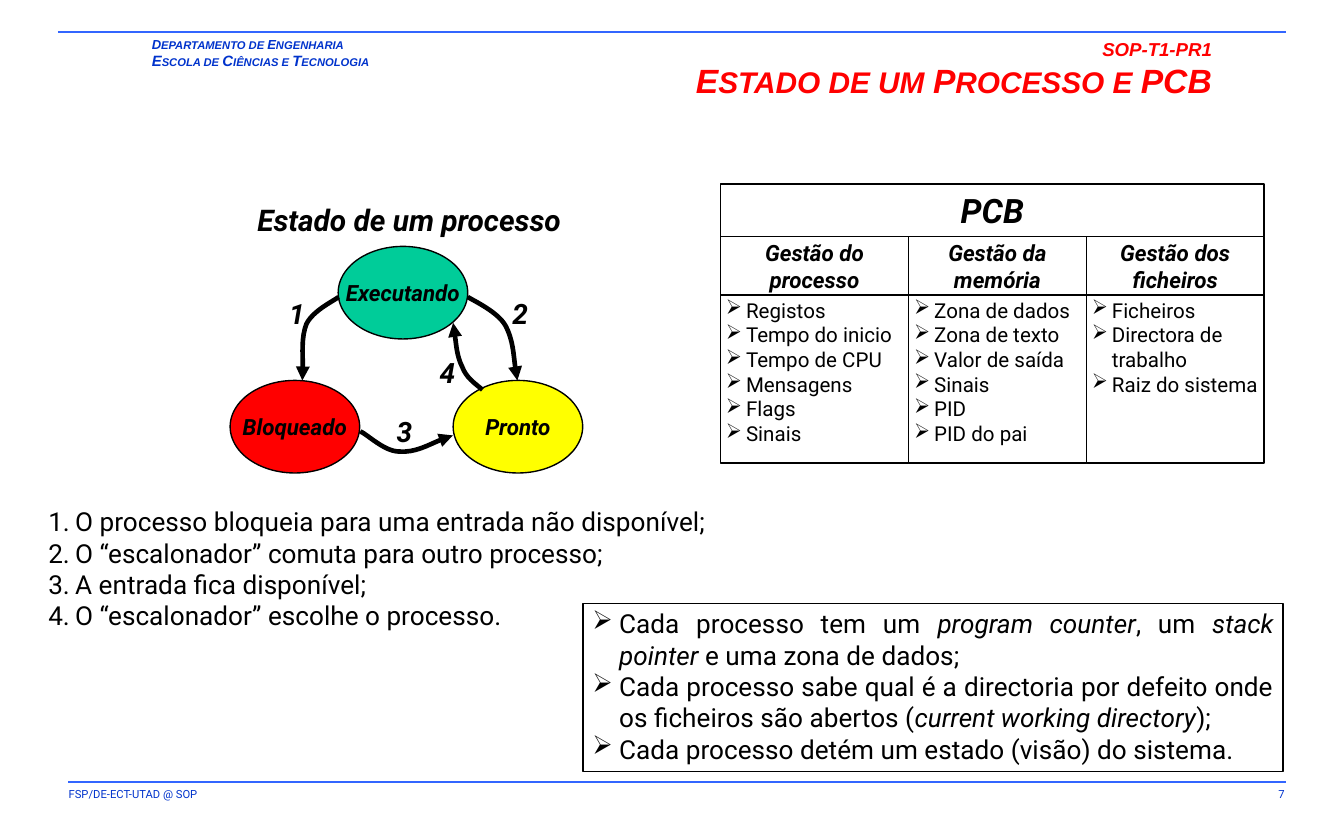
"""Build the slide on process states and the process control block."""
from lxml import etree
from pptx import Presentation
from pptx.dml.color import RGBColor
from pptx.enum import shapes, text
from pptx.oxml import ns
from pptx.util import Pt

BLACK = RGBColor(0, 0, 0)
BLUE = RGBColor(0x00, 0x33, 0xCC)
RULE_BLUE = RGBColor(0x33, 0x66, 0xFF)
RED = RGBColor(0xFF, 0, 0)
GREEN = RGBColor(0x00, 0xCC, 0x99)
YELLOW = RGBColor(0xFF, 0xFF, 0)
LEFT, CENTER = text.PP_ALIGN.LEFT, text.PP_ALIGN.CENTER
RIGHT, JUSTIFY = text.PP_ALIGN.RIGHT, text.PP_ALIGN.JUSTIFY
RECTANGLE, OVAL = shapes.MSO_SHAPE.RECTANGLE, shapes.MSO_SHAPE.OVAL

deck = Presentation()
deck.slide_width, deck.slide_height = Pt(720), Pt(450)
page = deck.slides.add_slide(deck.slide_layouts[6])


def add_box(place, margins, kind=None, fill=None, middle=False, wrap=True):
    """Add a text box, or an outlined shape when a kind is given."""
    place = [Pt(length) for length in place]
    if kind is None:
        box = page.shapes.add_textbox(*place)
    else:
        box = page.shapes.add_shape(kind, *place)
        box.shadow.inherit = False
        box.line.color.rgb, box.line.width = BLACK, Pt(0.75)
        if fill is None:
            box.fill.background()
        else:
            box.fill.solid()
            box.fill.fore_color.rgb = fill
    frame = box.text_frame
    frame.word_wrap = wrap
    frame.vertical_anchor = text.MSO_ANCHOR.MIDDLE if middle else text.MSO_ANCHOR.TOP
    frame.margin_left = frame.margin_right = Pt(margins[0])
    frame.margin_top = frame.margin_bottom = Pt(margins[1])
    return frame


def write(frame, line, size, color=BLACK, strong=False, align=LEFT, name="Roboto",
          bullet=None, indent=0, odd_size=None):
    """Add a paragraph; every second piece between bars is smaller or italic."""
    para = frame.paragraphs[0] if not frame.text else frame.add_paragraph()
    para.alignment = align
    if bullet:
        props = para._p.get_or_add_pPr()
        props.set("marL", str(Pt(indent)))
        props.set("indent", str(-Pt(indent)))
        if bullet == "1.":
            etree.SubElement(props, ns.qn("a:buAutoNum"), type="arabicPeriod")
        else:
            etree.SubElement(props, ns.qn("a:buChar"), char=bullet)
    para.font.name, para.font.size = name, Pt(size)
    para.font.color.rgb = color
    para.font.bold = para.font.italic = strong
    for index, piece in enumerate(line.split("|")):
        span = para.add_run()
        span.text = piece
        if index % 2 and odd_size:
            span.font.size = Pt(odd_size)
        elif index % 2:
            span.font.italic = True


for left, top in ((31, 17.1), (36.7, 419)):
    rule = page.shapes.add_connector(
        shapes.MSO_CONNECTOR.STRAIGHT, Pt(left), Pt(top), Pt(689), Pt(top))
    rule.line.color.rgb, rule.line.width = RULE_BLUE, Pt(0.75)
    etree.SubElement(rule._element.spPr, ns.qn("a:effectLst"))

footer = add_box((31, 419, 335, 14.4), (5.8, 2.9))
write(footer, "FSP/DE-ECT-UTAD @ SOP", 6, BLUE)
number = add_box((604, 419, 90, 15), (5.8, 2.9))
write(number, "7", 6, BLUE, align=RIGHT)

department = add_box((76.3, 17.3, 187, 23), (5, 2.2))
write(department, "D|EPARTAMENTO DE |E|NGENHARIA", 7, BLUE, True, name="Arial", odd_size=6)
write(department, "E|SCOLA DE |C|IÊNCIAS E |T|ECNOLOGIA", 8, BLUE, True, name="Arial", odd_size=6)

title = add_box((237, 17.3, 418, 32.4), (5.8, 2.9))
write(title, "SOP-T1-PR1", 10, RED, True, RIGHT, "Arial")
write(title, "E|STADO DE UM |P|ROCESSO E |PCB", 18, RED, True, RIGHT, "Arial", odd_size=16)

diagram_title = add_box((119.5, 104.4, 199.4, 26), (6.5, 2.9), middle=True, wrap=False)
write(diagram_title, "Estado de um processo", 16, strong=True, align=CENTER)

for state, left, top, fill in (("Executando", 181.2, 132, GREEN),
                               ("Pronto", 242.8, 203.8, YELLOW),
                               ("Bloqueado", 123.3, 203.8, RED)):
    oval = add_box((left, top, 69.4, 49.6), (2.9, 1.4), OVAL, fill, True, False)
    write(oval, state, 12, strong=True, align=CENTER)

transitions = (
    ("1", (150.5, 154.8), ((181.4, 159.1), (178.6, 161.3), (167.8, 166.3), (164.2, 173.5),
                           (161.3, 180.7), (162.7, 197.3), (162, 203.8))),
    ("2", (270, 154.8), ((250.6, 159.1), (254.2, 161.3), (266.4, 167), (270.7, 174.2),
                         (275, 182.2), (275.8, 198), (277.2, 203.8))),
    ("3", (208.1, 217.8), ((193, 231.1), (196.6, 232.6), (205.9, 241.9), (213.8, 241.9),
                           (222.5, 242.6), (236.9, 234.7), (242.6, 233.3))),
    ("4", (231.1, 186.1), ((258.5, 208.8), (254.2, 205.2), (249.8, 202.3), (247.7, 196.6),
                           (244.8, 190.8), (243.4, 176.4), (242.8, 173))),
)
for label, (left, top), points in transitions:
    points = [(Pt(x), Pt(y)) for x, y in points]
    builder = page.shapes.build_freeform(*points[0])
    builder.add_line_segments(points[1:], close=False)
    arrow = builder.convert_to_shape()
    arrow.shadow.inherit = False
    arrow.fill.background()
    arrow.line.color.rgb, arrow.line.width = BLACK, Pt(2.5)
    etree.SubElement(arrow.line._get_or_add_ln(), ns.qn("a:tailEnd"), type="triangle")
    outline = arrow._element.find(".//" + ns.qn("a:path"))
    segments = outline.findall(ns.qn("a:lnTo"))
    for start in range(0, len(segments), 3):
        curve = etree.SubElement(outline, ns.qn("a:cubicBezTo"))
        for segment in segments[start:start + 3]:
            curve.append(segment[0])
            outline.remove(segment)
    tag = add_box((left, top, 17.3, 26.6), (2.9, 1.4), middle=True, wrap=False)
    write(tag, label, 15, strong=True, align=CENTER)

steps = add_box((20.9, 268.6, 367, 72.7), (5, 2.2))
for step in ("O processo bloqueia para uma entrada não disponível;",
             "O “escalonador” comuta para outro processo;",
             "A entrada fica disponível;",
             "O “escalonador” escolhe o processo."):
    write(steps, step, 14, bullet="1.", indent=14.4)

heading = add_box((386, 98.5, 291.2, 28.3), (2.9, 1.4), RECTANGLE, middle=True, wrap=False)
write(heading, "PCB", 18, strong=True, align=CENTER)
left = 386
for width, names, entries in (
        (100.8, ("Gestão do", "processo"),
         ("Registos", "Tempo do inicio", "Tempo de CPU", "Mensagens", "Flags", "Sinais")),
        (95.2, ("Gestão da", "memória"),
         ("Zona de dados", "Zona de texto", "Valor de saída", "Sinais", "PID", "PID do pai")),
        (95.2, ("Gestão dos", "ficheiros"),
         ("Ficheiros", "Directora de trabalho", "Raiz do sistema"))):
    header = add_box((left, 126.8, width, 31.2), (2.9, 1.4), RECTANGLE, middle=True, wrap=False)
    for name in names:
        write(header, name, 12, strong=True, align=CENTER)
    body = add_box((left, 158, width, 90), (2.9, 1.4), RECTANGLE)
    for entry in entries:
        write(body, entry, 11, bullet="➢", indent=10.8)
    left += width

summary = add_box((312.3, 323.3, 375, 90), (5, 2.2), RECTANGLE)
for remark in (
        "Cada processo tem um |program counter|, um |stack pointer| e uma zona de dados;",
        "Cada processo sabe qual é a directoria por defeito onde os ficheiros são abertos "
        "(|current working directory|);",
        "Cada processo detém um estado (visão) do sistema."):
    write(summary, remark, 14, align=JUSTIFY, bullet="➢", indent=14.4)

deck.save("out.pptx")
